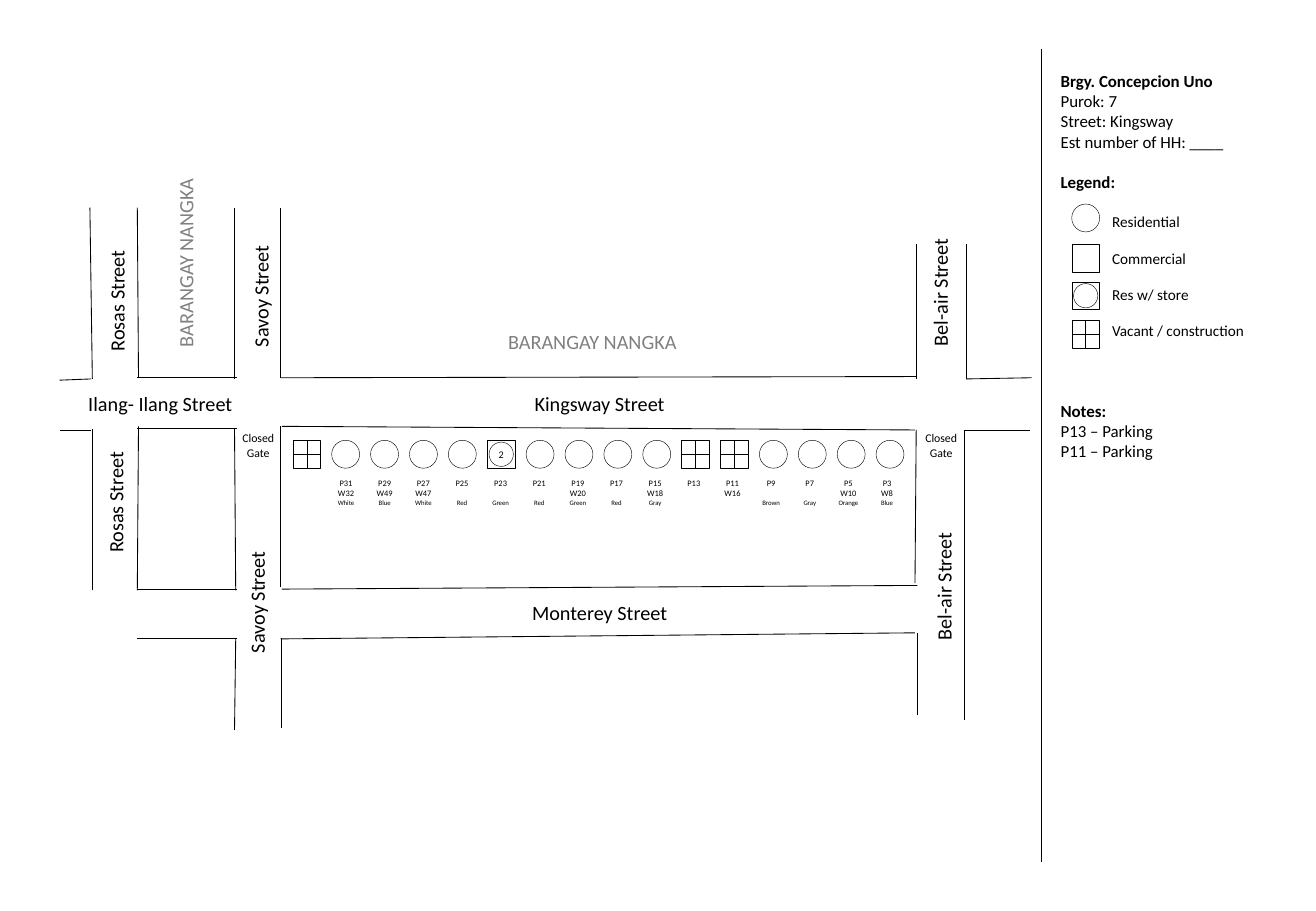
from lxml.etree import SubElement
from pptx import Presentation
from pptx.dml.color import RGBColor
from pptx.enum.shapes import MSO_CONNECTOR, MSO_SHAPE
from pptx.enum.text import MSO_ANCHOR, MSO_AUTO_SIZE, PP_ALIGN
from pptx.oxml.ns import qn
from pptx.util import Inches, Pt

CELL = Inches(0.1)
COLUMNS, ROWS = 108.3, 75
COLOURS = {"ink": "000000", "district": "808080"}
FONT = "Calibri"
MARK_SIZE = 2.3
RING_SIZE = 2

STREET_EDGES = {
    "Rosas": [
        (7.6, 31.2, 7.4, 17.1), (11.4, 31.1, 11.3, 17.1),
        (7.6, 48.6, 7.6, 35.3), (11.3, 48.6, 11.4, 35.1),
    ],
    "Savoy": [
        (19.3, 31.2, 19.3, 17.1), (23.1, 31.1, 23.1, 17.1),
        (19.4, 48.6, 19.3, 35.3), (23.1, 48.3, 23.1, 35.1),
        (19.3, 60.1, 19.4, 52.6), (23.2, 59.9, 23.2, 52.5),
    ],
    "Bel-air": [
        (75.4, 31.2, 75.4, 20.1), (79.5, 31.2, 79.5, 20.1),
        (75.3, 48, 75.4, 35.4), (79.4, 59.3, 79.4, 35.4),
        (75.5, 58.9, 75.5, 52.1),
    ],
    "Ilang-Ilang": [
        (4.9, 31.3, 7.5, 31.2), (4.9, 35.4, 7.5, 35.4),
        (11.3, 31.1, 19.5, 31.1), (11.3, 35.3, 19.5, 35.3),
    ],
    "Kingsway": [
        (23.1, 31.1, 75.4, 31), (23.2, 35.1, 75.3, 35.4),
        (79.5, 31.2, 84.9, 31.1), (79.4, 35.4, 84.8, 35.4),
    ],
    "Monterey": [
        (11.3, 48.5, 19.5, 48.5), (11.3, 52.6, 19.5, 52.6),
        (23.2, 48.5, 75.5, 48.2), (23.1, 52.6, 75.3, 52.1),
    ],
}

UPRIGHT_NAMES = [
    ("Rosas Street", 4.4, 23.2, 10.4, "ink", PP_ALIGN.LEFT),
    ("Rosas Street", 4.3, 39.8, 10.4, "ink", PP_ALIGN.LEFT),
    ("Savoy Street", 16.2, 22.8, 10.5, "ink", PP_ALIGN.LEFT),
    ("Savoy Street", 15.9, 48, 10.5, "ink", PP_ALIGN.LEFT),
    ("Bel-air Street", 71.9, 22.6, 10.9, "ink", PP_ALIGN.RIGHT),
    ("Bel-air Street", 72.2, 46.8, 10.9, "ink", PP_ALIGN.RIGHT),
    ("BARANGAY NANGKA", 7.2, 20, 16.1, "district", PP_ALIGN.LEFT),
]

LEVEL_NAMES = [
    ("Ilang- Ilang Street", 5.7, 31.7, 15, "ink"),
    ("Kingsway Street", 23.1, 31.7, 52.5, "ink"),
    ("Monterey Street", 23.1, 48.9, 52.5, "ink"),
    ("BARANGAY NANGKA", 40.7, 26.6, 16.1, "district"),
]

PLOTS = [
    ("vacant", "", "", ""),
    ("home", "P31", "W32", "White"),
    ("home", "P29", "W49", "Blue"),
    ("home", "P27", "W47", "White"),
    ("home", "P25", "", "Red"),
    ("store", "P23", "", "Green"),
    ("home", "P21", "", "Red"),
    ("home", "P19", "W20", "Green"),
    ("home", "P17", "", "Red"),
    ("home", "P15", "W18", "Gray"),
    ("vacant", "P13", "", ""),
    ("vacant", "P11", "W16", ""),
    ("home", "P9", "", "Brown"),
    ("home", "P7", "", "Gray"),
    ("home", "P5", "W10", "Orange"),
    ("home", "P3", "W8", "Blue"),
]

LEGEND = [
    ("home", "Residential", 16.8),
    ("shop", "Commercial", 20.1),
    ("store", "Res w/ store", 23.2),
    ("vacant", "Vacant / construction", 26.4),
]


def grid(*counts):
    return [round(count * CELL) for count in counts]


def colour(name):
    return RGBColor.from_string(COLOURS[name])


def add_line(shapes, start_end, width):
    line = shapes.add_connector(MSO_CONNECTOR.STRAIGHT, *grid(*start_end))
    line.line.color.rgb = colour("ink")
    line.line.width = Pt(width)
    SubElement(line._element.spPr, qn("a:effectLst"))


def add_outline(shapes, kind, column, row, size):
    shape = shapes.add_shape(kind, *grid(column, row, size, size))
    shape.shadow.inherit = False
    shape.fill.background()
    shape.line.color.rgb = colour("ink")
    shape.line.width = Pt(0.25)
    return shape


def write(paragraph, text, size=10, bold=False, tint="ink",
          align=PP_ALIGN.LEFT, before=0, indent=0):
    properties = paragraph._p.get_or_add_pPr()
    if indent:
        properties.set("marL", str(grid(indent)[0]))
        properties.set("indent", "0")
    paragraph.alignment = align
    paragraph.space_before = Pt(before)
    span = paragraph.add_run()
    span.text = text
    span.font.name = FONT
    span.font.size = Pt(size)
    span.font.bold = bold
    span.font.color.rgb = colour(tint)


def add_text(page, area, lines, wrap=False, rotation=0, **common):
    box = page.shapes.add_textbox(*grid(*area))
    box.rotation = rotation
    frame = box.text_frame
    frame.word_wrap = wrap
    frame.auto_size = MSO_AUTO_SIZE.SHAPE_TO_FIT_TEXT
    for index, (text, style) in enumerate(lines):
        paragraph = frame.add_paragraph() if index else frame.paragraphs[0]
        write(paragraph, text, **{**common, **style})


def add_mark(page, kind, column, row, count=""):
    if kind == "home":
        add_outline(page.shapes, MSO_SHAPE.OVAL, column, row, MARK_SIZE)
        return
    shapes = page.shapes.add_group_shape().shapes
    if kind == "store":
        gap = (MARK_SIZE - RING_SIZE) / 2
        ring = add_outline(shapes, MSO_SHAPE.OVAL, column + gap, row + gap, RING_SIZE)
        if count:
            frame = ring.text_frame
            frame.margin_left = frame.margin_right = 0
            frame.margin_top = frame.margin_bottom = 0
            frame.word_wrap = False
            frame.vertical_anchor = MSO_ANCHOR.MIDDLE
            write(frame.paragraphs[0], count, size=6, align=PP_ALIGN.CENTER)
    add_outline(shapes, MSO_SHAPE.RECTANGLE, column, row, MARK_SIZE)
    if kind == "vacant":
        middle, centre = column + MARK_SIZE / 2, row + MARK_SIZE / 2
        add_line(shapes, (middle, row, middle, row + MARK_SIZE), 0.25)
        add_line(shapes, (column, centre, column + MARK_SIZE, centre), 0.25)


def add_streets(page):
    for edges in STREET_EDGES.values():
        for edge in edges:
            add_line(page.shapes, edge, 0.5)
    for text, column, row, width, tint, align in UPRIGHT_NAMES:
        add_text(page, (column, row, width, 3), [(text, {})], rotation=270,
                 size=12, tint=tint, align=align)
    for text, column, row, width, tint in LEVEL_NAMES:
        add_text(page, (column, row, width, 3), [(text, {})], wrap=True,
                 size=12, tint=tint, align=PP_ALIGN.CENTER)
    for column in (18.8, 75):
        add_text(page, (column, 35, 4.9, 3.4), [("Closed", {}), ("Gate", {})],
                 size=7, align=PP_ALIGN.CENTER)


def add_plots(page):
    for index, (kind, plot, unit, gate) in enumerate(PLOTS):
        add_mark(page, kind, 24.1 + 3.2 * index, 36.25, count="2")
        lines = [(text, {}) for text in (plot, unit) if text]
        if gate:
            lines.append((gate, {"size": 4, "before": 0 if unit else 6.1}))
        if lines:
            add_text(page, (23.05 + 3.18 * index, 38.9, 4.5, 3.4), lines,
                     size=5, align=PP_ALIGN.CENTER)


def add_panel(page):
    add_line(page.shapes, (85.7, 4, 85.7, 71), 0.25)
    lines = [
        ("Brgy. Concepcion Uno", {"bold": True}),
        ("Purok: 7", {}),
        ("Street: Kingsway", {}),
        ("Est number of HH: ____", {}),
        ("Legend:", {"bold": True, "before": 12.2}),
    ]
    for index, (kind, text, row) in enumerate(LEGEND):
        add_mark(page, kind, 88.2, row)
        lines.append((text, {"size": 9, "indent": 4.24, "before": 10.7 if index else 12}))
    lines += [
        ("Notes:", {"bold": True, "before": 36}),
        ("P13 – Parking", {}),
        ("P11 – Parking", {}),
    ]
    add_text(page, (86.3, 5.3, 18.2, 35.2), lines, wrap=True)


def main():
    deck = Presentation()
    deck.slide_width, deck.slide_height = grid(COLUMNS, ROWS)
    page = deck.slides.add_slide(deck.slide_layouts[6])
    add_streets(page)
    add_plots(page)
    add_panel(page)
    deck.save("out.pptx")


if __name__ == "__main__":
    main()
